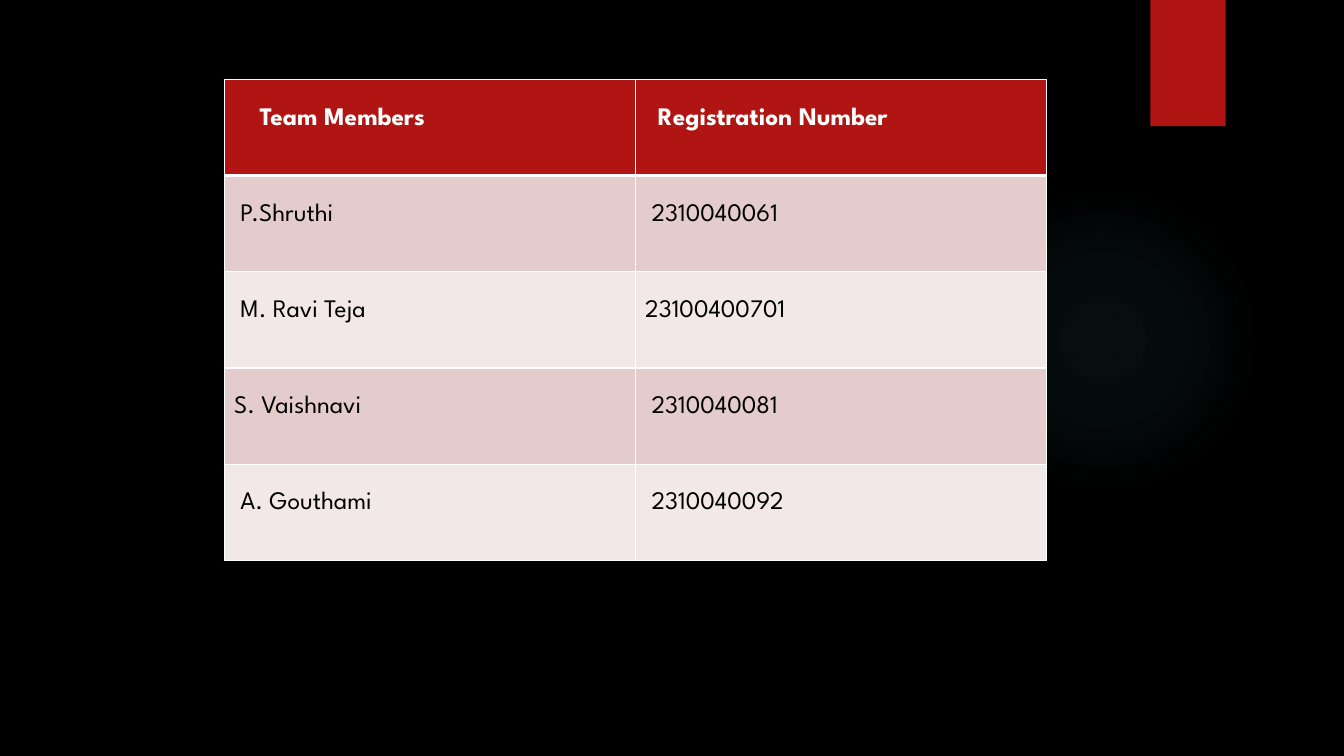
from lxml.etree import SubElement as Sub
from pptx import Presentation
from pptx.dml.color import RGBColor
from pptx.enum.shapes import MSO_SHAPE as Shape
from pptx.enum.text import MSO_ANCHOR as Anchor
from pptx.oxml.ns import qn
from pptx.util import Cm, Pt

FONT = "League Spartan"
RED = "B01513"
BANDS = ["E4CCCC", "F2E8E7"]
MARGIN, STEP = 0.25, 0.16
ROWS = [
    [("Team Members", 4), ("Registration Number", 2)],
    [("P.Shruthi", 1), ("2310040061", 1)],
    [("M. Ravi Teja", 1), ("23100400701", 0)],
    [("S. Vaishnavi", 0), ("2310040081", 1)],
    [("A. Gouthami", 1), ("2310040092", 1)],
]


def paint(fill, color):
    fill.solid()
    fill.fore_color.rgb = RGBColor.from_string(color)


def write(tf, text, size=18, color="000000", bold=False):
    r = tf.paragraphs[0].add_run()
    r.text = text
    r.font.name = FONT
    r.font.size = Pt(size)
    r.font.bold = bold
    r.font.color.rgb = RGBColor.from_string(color)


def add_plain(s, shape, x, y, w, h):
    sp = s.shapes.add_shape(shape, Cm(x), Cm(y), Cm(w), Cm(h))
    sp.shadow.inherit = False
    sp.line.fill.background()
    return sp


def add_glow(s, x, y, size):
    sp = add_plain(s, Shape.OVAL, x, y, size, size)
    sp.fill.gradient()
    grad = sp._element.spPr.find(qn("a:gradFill"))
    for child in list(grad):
        grad.remove(child)
    stops = Sub(grad, qn("a:gsLst"))
    for pos, alpha in [(0, 7), (36, 6), (69, 0), (100, 0)]:
        stop = Sub(stops, qn("a:gs"), pos=str(pos * 1000))
        color = Sub(stop, qn("a:srgbClr"), val="50B9C1")
        Sub(color, qn("a:alpha"), val=str(alpha * 1000))
    circle = Sub(grad, qn("a:path"), path="circle")
    Sub(circle, qn("a:fillToRect"), l="50000", t="50000", r="50000", b="50000")


def add_ribbon(s, x, y, w, h):
    paint(add_plain(s, Shape.RECTANGLE, x, y, w, h).fill, RED)


def set_borders(cell, top, bottom):
    tcPr = cell._tc.get_or_add_tcPr()
    for side, width in zip("LRTB", [1, 1, top, bottom]):
        ln = Sub(tcPr, qn("a:ln" + side), w=str(Pt(width)))
        Sub(Sub(ln, qn("a:solidFill")), qn("a:srgbClr"), val="FFFFFF")


def add_team_table(s, x, y, w, h):
    n, cols = len(ROWS), len(ROWS[0])
    table = s.shapes.add_table(n, cols, Cm(x), Cm(y), Cm(w), Cm(h)).table
    table.horz_banding = False
    for col in table.columns:
        col.width = Cm(w / cols)
    for i, row in enumerate(ROWS):
        table.rows[i].height = Cm(h / n)
        header = i == 0
        for j, (text, indent) in enumerate(row):
            cell = table.cell(i, j)
            set_borders(cell, 3 if i == 1 else 1, 3 if header else 1)
            paint(cell.fill, RED if header else BANDS[(i - 1) % 2])
            cell.vertical_anchor = Anchor.TOP
            cell.margin_top = Cm(0.71)
            cell.margin_left = Cm(MARGIN + indent * STEP)
            write(cell.text_frame, text, bold=header,
                  color="FFFFFF" if header else "000000")


def main():
    prs = Presentation()
    prs.slide_width, prs.slide_height = Cm(33.87), Cm(19.05)
    s = prs.slides.add_slide(prs.slide_layouts[6])
    paint(s.background.fill, "000000")
    add_glow(s, 23.9, 4.65, 7.82)
    add_ribbon(s, 28.99, 0, 1.9, 3.18)
    add_team_table(s, 5.65, 2, 20.72, 12.12)
    prs.save("out.pptx")


if __name__ == "__main__":
    main()
